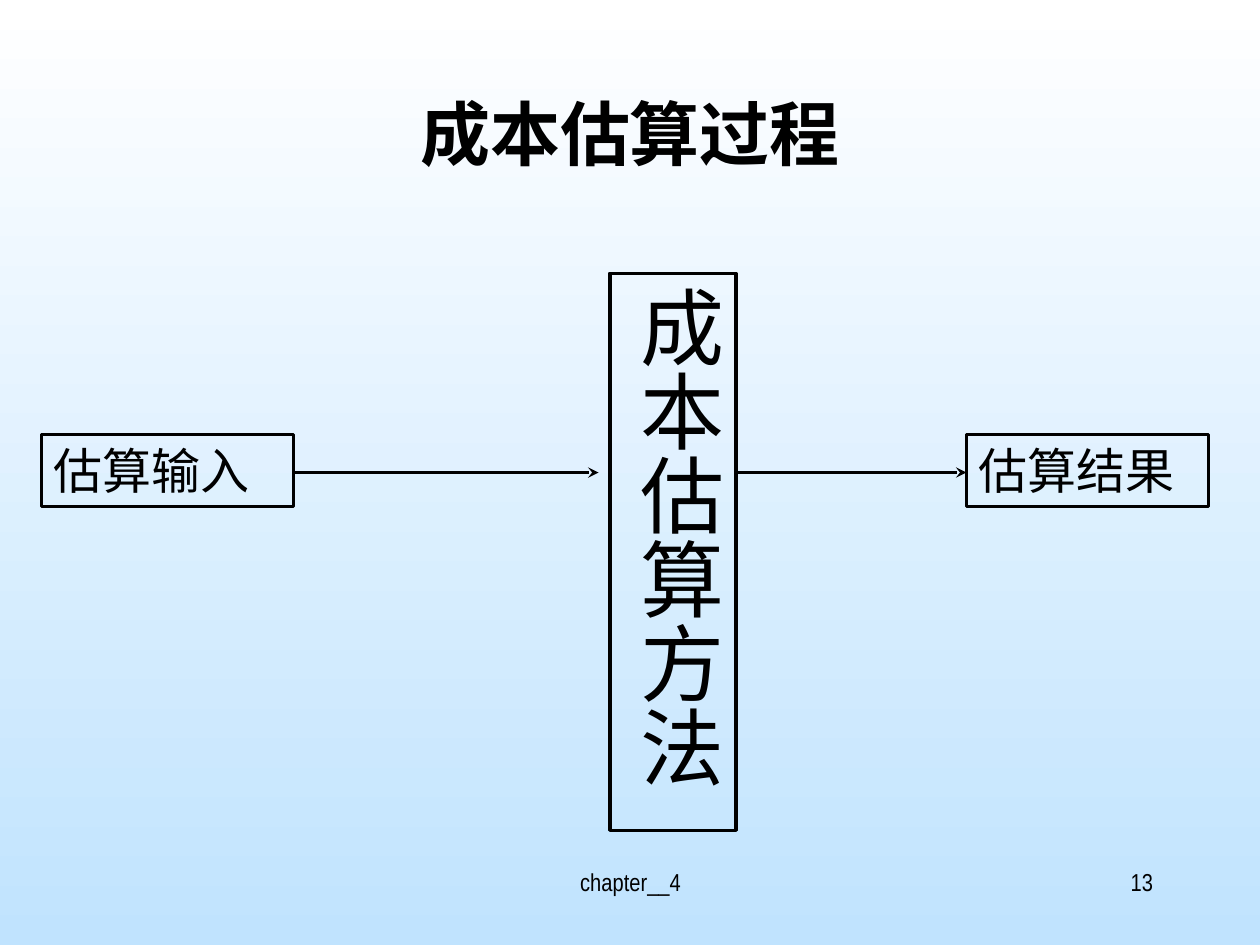
"""Build the cost estimation process slide."""
import pptx
import pptx.dml.color
import pptx.enum.shapes
import pptx.enum.text
import pptx.oxml
import pptx.oxml.ns
import pptx.util
from pptx.util import Inches

COLORS = {"ink": "000000", "sky_top": "FFFFFF", "sky_bottom": "C0E3FE"}
ALIGN = pptx.enum.text.PP_ALIGN


def rgb(name):
    return pptx.dml.color.RGBColor.from_string(COLORS[name])


def write(shape, text, size, font="Arial Narrow", bold=False, align=ALIGN.LEFT, vertical=False):
    frame = shape.text_frame
    frame.word_wrap = True
    frame.vertical_anchor = pptx.enum.text.MSO_ANCHOR.TOP
    if vertical:
        frame.margin_left = frame.margin_right = Inches(0.05)
        frame.margin_top = frame.margin_bottom = Inches(0.1)
        frame._txBody.bodyPr.set("vert", "eaVert")
    paragraph = frame.paragraphs[0]
    paragraph.alignment = align
    run = paragraph.add_run()
    run.text = text
    run.font.size = pptx.util.Pt(size)
    run.font.name = font
    run.font.bold = bold
    run.font.color.rgb = rgb("ink")


deck = pptx.Presentation()
deck.slide_width, deck.slide_height = Inches(10), Inches(7.5)
slide = deck.slides.add_slide(deck.slide_layouts[6])

sky = slide.background.fill
sky.gradient()
sky.gradient_angle = 270
for stop, position, name in zip(sky.gradient_stops, (0, 1), ("sky_top", "sky_bottom")):
    stop.position = position
    stop.color.rgb = rgb(name)

labels = [
    ((3.42, 6.83, 3.17, 0.5), "chapter__4", dict(size=14, align=ALIGN.CENTER)),
    ((7.17, 6.83, 2.08, 0.5), "13", dict(size=14, align=ALIGN.RIGHT)),
    ((0.75, 0.67, 8.5, 1.25), "成本估算过程",
     dict(size=40, font="Noto Sans CJK SC", bold=True, align=ALIGN.CENTER)),
]
for place, text, style in labels:
    write(slide.shapes.add_textbox(*map(Inches, place)), text, **style)

stages = [
    ((0.33, 3.45, 2, 0.57), "估算输入", dict(size=28)),
    ((7.67, 3.45, 1.92, 0.57), "估算结果", dict(size=28)),
    ((4.84, 2.17, 1, 4.42), "成本估算方法", dict(size=48, vertical=True)),
]
for place, text, style in stages:
    stage = slide.shapes.add_shape(
        pptx.enum.shapes.MSO_SHAPE.RECTANGLE, *map(Inches, place))
    stage.shadow.inherit = False
    stage.fill.background()
    stage.line.color.rgb = rgb("ink")
    stage.line.width = pptx.util.Pt(2)
    write(stage, text, **style)

flow_y = Inches(3.75)
for start, end in ((2.33, 4.75), (5.83, 7.67)):
    flow = slide.shapes.add_connector(
        pptx.enum.shapes.MSO_CONNECTOR.STRAIGHT, Inches(start), flow_y, Inches(end), flow_y)
    flow.line.color.rgb = rgb("ink")
    flow.line.width = pptx.util.Pt(2)
    arrowhead = pptx.oxml.parse_xml(
        f'<a:tailEnd {pptx.oxml.ns.nsdecls("a")} type="stealth"/>')
    flow.line._get_or_add_ln().append(arrowhead)
    flow._element.spPr.append(
        pptx.oxml.parse_xml(f'<a:effectLst {pptx.oxml.ns.nsdecls("a")}/>'))

deck.save("out.pptx")
